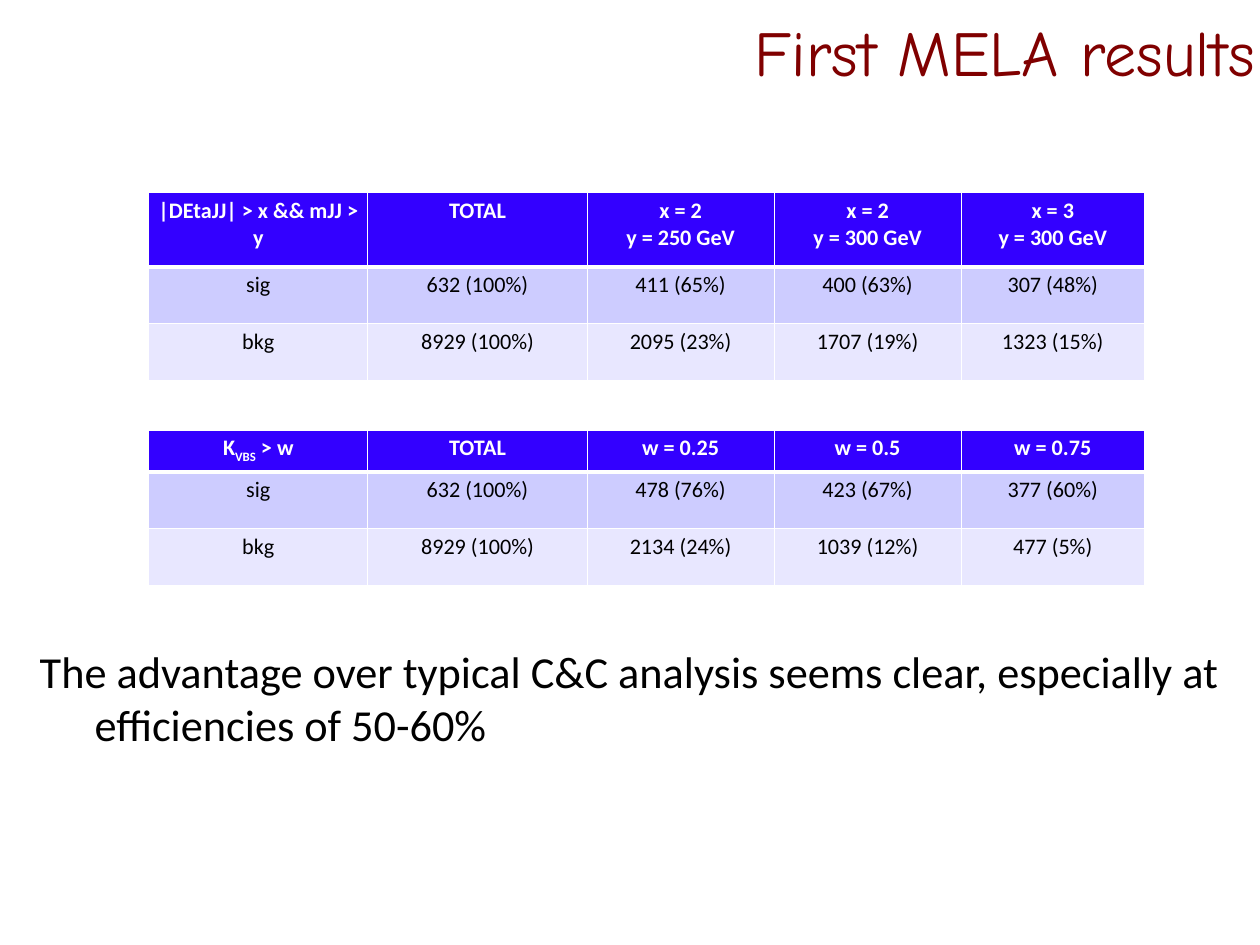
from dataclasses import dataclass

from lxml import etree
from pptx import Presentation
from pptx import util as u
from pptx.dml.color import RGBColor
from pptx.enum import text
from pptx.oxml.ns import qn


@dataclass(frozen=True)
class Theme:
    wide: float = 14.22
    high: float = 10.67
    title: str = "800000"
    ink: str = "000000"
    white: str = "FFFFFF"
    head: str = "3300FF"
    bands: tuple = ("CDCCFF", "E8E7FF")
    sans: str = "Calibri"
    comic: str = "Comic Neue"
    big: int = 52
    mid: int = 36
    small: int = 18
    thin: float = 0.96
    thick: float = 3


T = Theme()
LEFT = 11.8
COLS = (17.4, 17.4, 14.84, 14.84, 14.56)
LINE = 6
CUTS = (
    ("|DEtaJJ| > x && mJJ > y", "TOTAL", "x = 2\ny = 250 GeV",
     "x = 2\ny = 300 GeV", "x = 3\ny = 300 GeV"),
    ("sig", "632 (100%)", "411 (65%)", "400 (63%)", "307 (48%)"),
    ("bkg", "8929 (100%)", "2095 (23%)", "1707 (19%)", "1323 (15%)"),
)
MELA = (
    ("K_VBS_ > w", "TOTAL", "w = 0.25", "w = 0.5", "w = 0.75"),
    ("sig", "632 (100%)", "478 (76%)", "423 (67%)", "377 (60%)"),
    ("bkg", "8929 (100%)", "2134 (24%)", "1039 (12%)", "477 (5%)"),
)
CLAIM = ("The advantage over typical C&C analysis seems clear, "
         "especially at efficiencies of 50-60%")


def col(n):
    return u.Inches(T.wide * n / 100)


def row(n):
    return u.Inches(T.high * n / 100)


def style(par, face, size, tint, bold=False):
    font = par.font
    font.name, font.size, font.bold = face, u.Pt(size), bold
    font.color.rgb = RGBColor.from_string(tint)


def edge(cell, side, width):
    line = etree.SubElement(cell._tc.get_or_add_tcPr(), qn(f"a:ln{side}"),
                            w=str(int(u.Pt(width))))
    fill = etree.SubElement(line, qn("a:solidFill"))
    etree.SubElement(fill, qn("a:srgbClr"), val=T.white)


def write(par, words):
    for i, part in enumerate(words.split("_")):
        run = par.add_run()
        run.text = part
        if i % 2:
            run._r.get_or_add_rPr().set("baseline", "-25000")


def fill_cell(cell, words, r):
    for side in "LRTB":
        rule = (r, side) in ((0, "B"), (1, "T"))
        edge(cell, side, T.thick if rule else T.thin)
    cell.fill.solid()
    shade = T.bands[r - 1] if r else T.head
    cell.fill.fore_color.rgb = RGBColor.from_string(shade)
    frame = cell.text_frame
    for i, line in enumerate(words.split("\n")):
        par = frame.add_paragraph() if i else frame.paragraphs[0]
        write(par, line)
        par.alignment = text.PP_ALIGN.CENTER
        style(par, T.sans, T.small, T.ink if r else T.white, r == 0)


def add_grid(slide, data, top, head):
    rows = (head, LINE, LINE)
    table = slide.shapes.add_table(
        len(rows), len(COLS), col(LEFT), row(top),
        col(sum(COLS)), row(sum(rows))).table
    table.horz_banding = False
    for slot, n in zip(table.columns, COLS):
        slot.width = col(n)
    for r, (slot, n) in enumerate(zip(table.rows, rows)):
        slot.height = row(n)
        for c, words in enumerate(data[r]):
            fill_cell(table.cell(r, c), words, r)


def set_title(slide, words):
    title = slide.shapes.title
    title.left, title.top = col(0), row(0.56)
    title.width, title.height = col(100), row(9.75)
    frame = title.text_frame
    frame.text = words
    frame.auto_size = text.MSO_AUTO_SIZE.NONE
    frame.vertical_anchor = text.MSO_ANCHOR.MIDDLE
    frame.margin_left = frame.margin_right = u.Inches(0.06)
    frame.margin_top = frame.margin_bottom = u.Inches(0.06)
    par = frame.paragraphs[0]
    par.alignment = text.PP_ALIGN.RIGHT
    style(par, T.comic, T.big, T.title)


def add_claim(slide, words):
    box = slide.shapes.add_textbox(col(0), row(67.67), col(100), row(25.1))
    frame = box.text_frame
    frame.word_wrap = True
    par = frame.paragraphs[0]
    par.text = words
    par.space_before = u.Pt(12)
    props = par._p.get_or_add_pPr()
    props.set("marL", str(int(u.Inches(0.97))))
    props.set("indent", str(int(u.Inches(-0.62))))
    style(par, T.sans, T.mid, T.ink)


def main():
    deck = Presentation()
    deck.slide_width, deck.slide_height = col(100), row(100)
    slide = deck.slides.add_slide(deck.slide_layouts[5])
    set_title(slide, "First MELA results")
    add_grid(slide, CUTS, 20.4, 7.87)
    add_grid(slide, MELA, 45.55, 4.4)
    add_claim(slide, CLAIM)
    deck.save("out.pptx")


if __name__ == "__main__":
    main()
